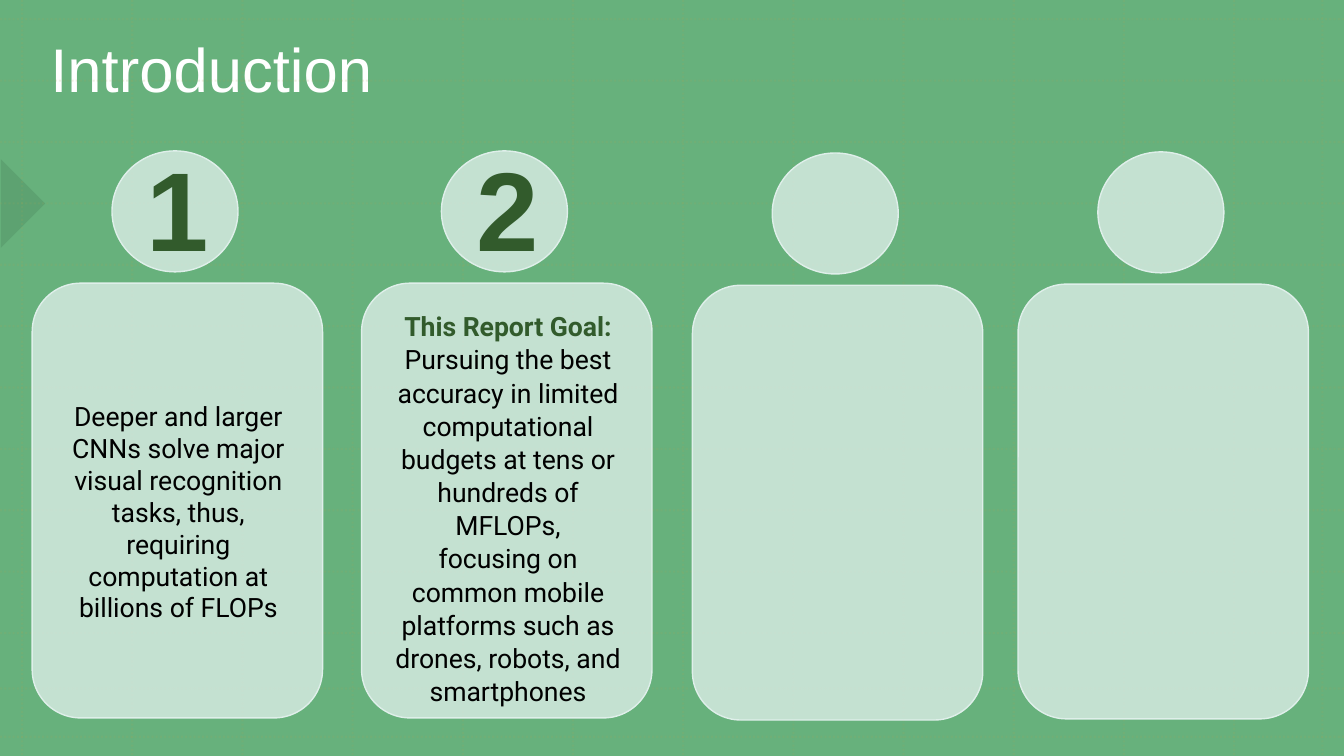
from lxml.etree import SubElement
from pptx import Presentation
from pptx.dml.color import RGBColor
from pptx.enum.dml import MSO_LINE
from pptx.enum.shapes import MSO_CONNECTOR, MSO_SHAPE
from pptx.enum.text import MSO_ANCHOR, PP_ALIGN
from pptx.oxml.ns import qn
from pptx.util import Pt

COLORS = {
    "green": "67B17C", "grid": "A4A657", "arrow": "2F5D3C", "card": "DFEFEA",
    "accent": "325B2C", "black": "000000", "white": "FFFFFF",
}
WIDTH, HEIGHT = 960, 540


def write(paragraph, text, size, font, color, bold=False, align=PP_ALIGN.LEFT, spacing=None):
    paragraph.text = text
    paragraph.alignment = align
    if spacing:
        paragraph.line_spacing = spacing
    for run in paragraph.runs:
        run.font.size = Pt(size)
        run.font.name = font
        run.font.bold = bold
        run.font.color.rgb = RGBColor.from_string(COLORS[color])


def add_panel(preset, left, top, width, height, fill=None, opacity=100, outlined=False):
    panel = slide.shapes.add_shape(preset, Pt(left), Pt(top), Pt(width), Pt(height))
    panel.shadow.inherit = False
    panel.fill.background()
    panel.line.fill.background()
    if fill:
        panel.fill.solid()
        panel.fill.fore_color.rgb = RGBColor.from_string(COLORS[fill])
        tint = panel.fill._xPr.find(".//" + qn("a:srgbClr"))
        SubElement(tint, qn("a:alpha"), val=str(opacity * 1000))
    if outlined:
        panel.line.color.rgb = RGBColor.from_string(COLORS[fill])
        panel.line.width = Pt(1)
    return panel


deck = Presentation()
deck.slide_width, deck.slide_height = Pt(WIDTH), Pt(HEIGHT)
slide = deck.slides.add_slide(deck.slide_layouts[5])
slide.background.fill.solid()
slide.background.fill.fore_color.rgb = RGBColor.from_string(COLORS["green"])

# Title
title = slide.shapes.title
title.left, title.top, title.width, title.height = Pt(28.8), Pt(13.7), Pt(390), Pt(64)
title.text_frame.vertical_anchor = MSO_ANCHOR.MIDDLE
write(title.text_frame.paragraphs[0], "Introduction", 44, "Arial", "white", spacing=1.1)

# Arrow on the left edge
arrow = add_panel(MSO_SHAPE.RIGHT_TRIANGLE, -21.6, 123.1, 44.6, 44.6, "arrow", 17)
arrow.rotation = 225

# Faint dotted grid
columns = [15.8 + 78.7 * i for i in range(12)] + [944.6]
rows = [13.7 + 43.85 * i for i in range(11)] + [491.8, 526.3]
grid_ends = [(x, 0, x, HEIGHT) for x in columns] + [(0, y, WIDTH, y) for y in rows]
grid = slide.shapes.add_group_shape()
for ends in grid_ends:
    rule = grid.shapes.add_connector(MSO_CONNECTOR.STRAIGHT, *[Pt(end) for end in ends])
    rule.line.color.rgb = RGBColor.from_string(COLORS["grid"])
    rule.line.width = Pt(1.5)
    rule.line.dash_style = MSO_LINE.ROUND_DOT
    tint = rule.line._ln.find(".//" + qn("a:srgbClr"))
    SubElement(tint, qn("a:alpha"), val="15000")
    SubElement(rule._element.spPr, qn("a:effectLst"))

# Cards, each with a numbered circle above
for left, top, number in [(23, 202.3, "1"), (258.3, 202.3, "2"),
                          (494.6, 203.8, ""), (727.2, 203, "")]:
    add_panel(MSO_SHAPE.ROUNDED_RECTANGLE, left, top, 207.4, 310.5, "card", 78, True)
    add_panel(MSO_SHAPE.OVAL, left + 57, top - 94.5, 90, 86.4, "card", 78, True)
    if number:
        label = slide.shapes.add_textbox(Pt(left + 107.3), Pt(95.8), Pt(26), Pt(104.4))
        label.text_frame.word_wrap = True
        digit = label.text_frame.paragraphs[0]
        write(digit, number, 80, "Calibri", "accent", bold=True, align=PP_ALIGN.RIGHT)
        digit._p.get_or_add_pPr().set("rtl", "1")
        SubElement(digit.runs[0].font._element, qn("a:cs"), typeface="Arial")

# Card texts
background = ("Deeper and larger CNNs solve major visual recognition tasks, thus, "
              "requiring computation at billions of FLOPs")
goal = ("Pursuing the best accuracy in limited computational budgets at tens or hundreds "
        "of MFLOPs,\nfocusing on common mobile platforms such as drones, robots, and smartphones")
card_texts = [
    ((30.2, 272.2, 194.4, 186.5), None, [(background, "black", False)]),
    ((257.8, 206.6, 210.2, 312.5), 1.04,
     [("This Report Goal:", "accent", True), (goal, "black", False)]),
]
for box, spacing, passages in card_texts:
    frame = add_panel(MSO_SHAPE.ROUNDED_RECTANGLE, *box).text_frame
    frame.word_wrap = True
    frame.vertical_anchor = MSO_ANCHOR.MIDDLE
    for index, (text, color, bold) in enumerate(passages):
        paragraph = frame.add_paragraph() if index else frame.paragraphs[0]
        write(paragraph, text, 19, "Roboto", color, bold, PP_ALIGN.CENTER, spacing)

deck.save("out.pptx")
